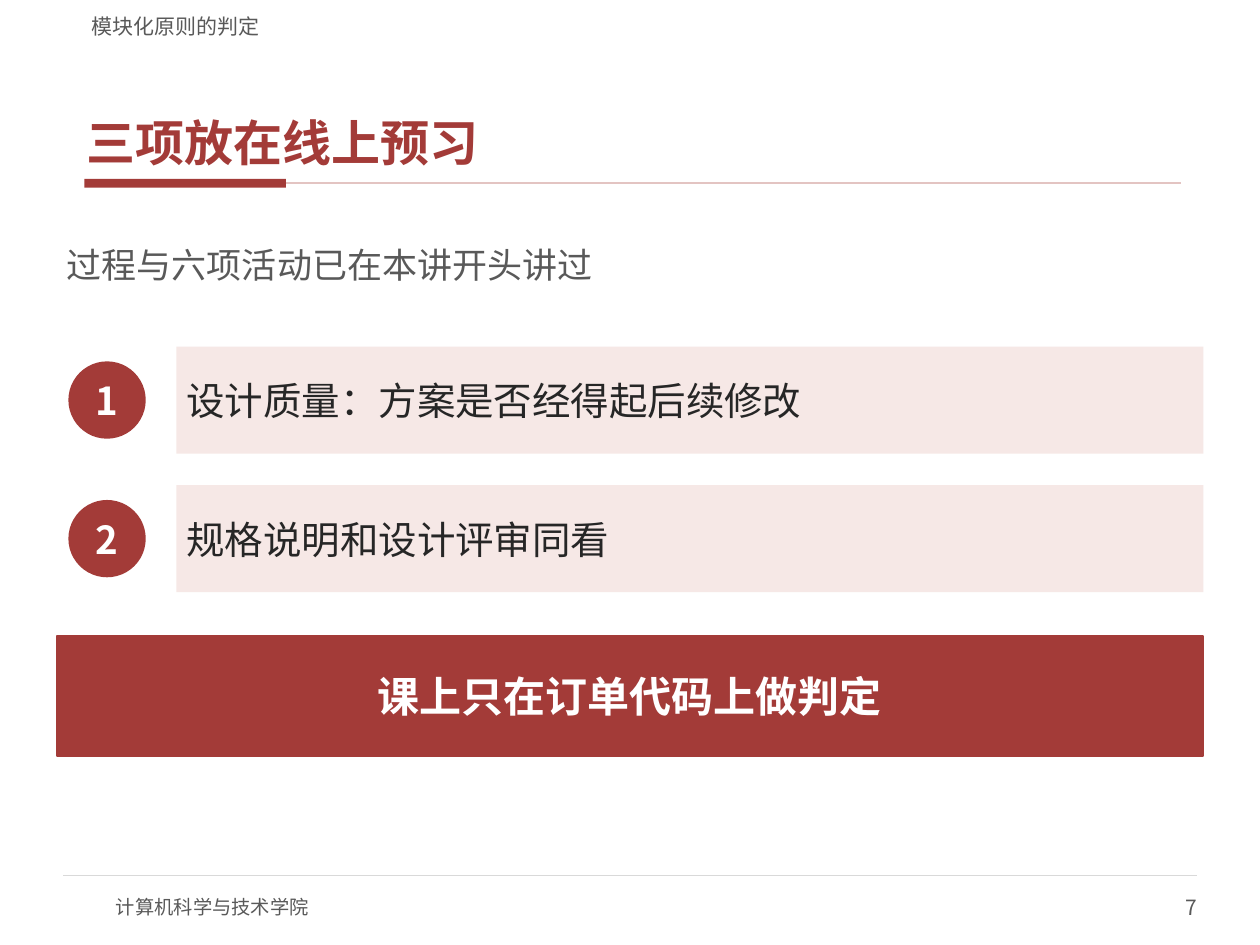
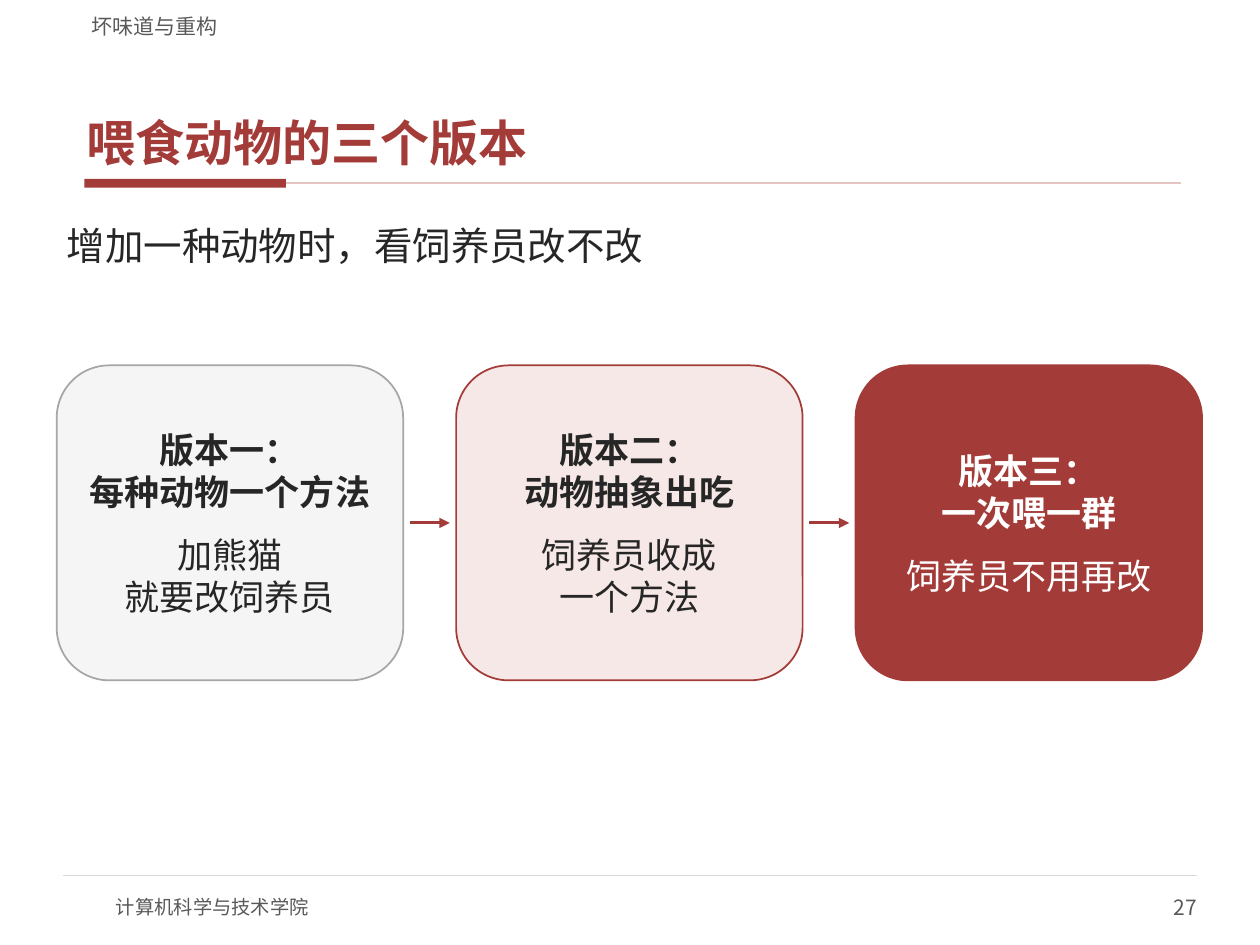
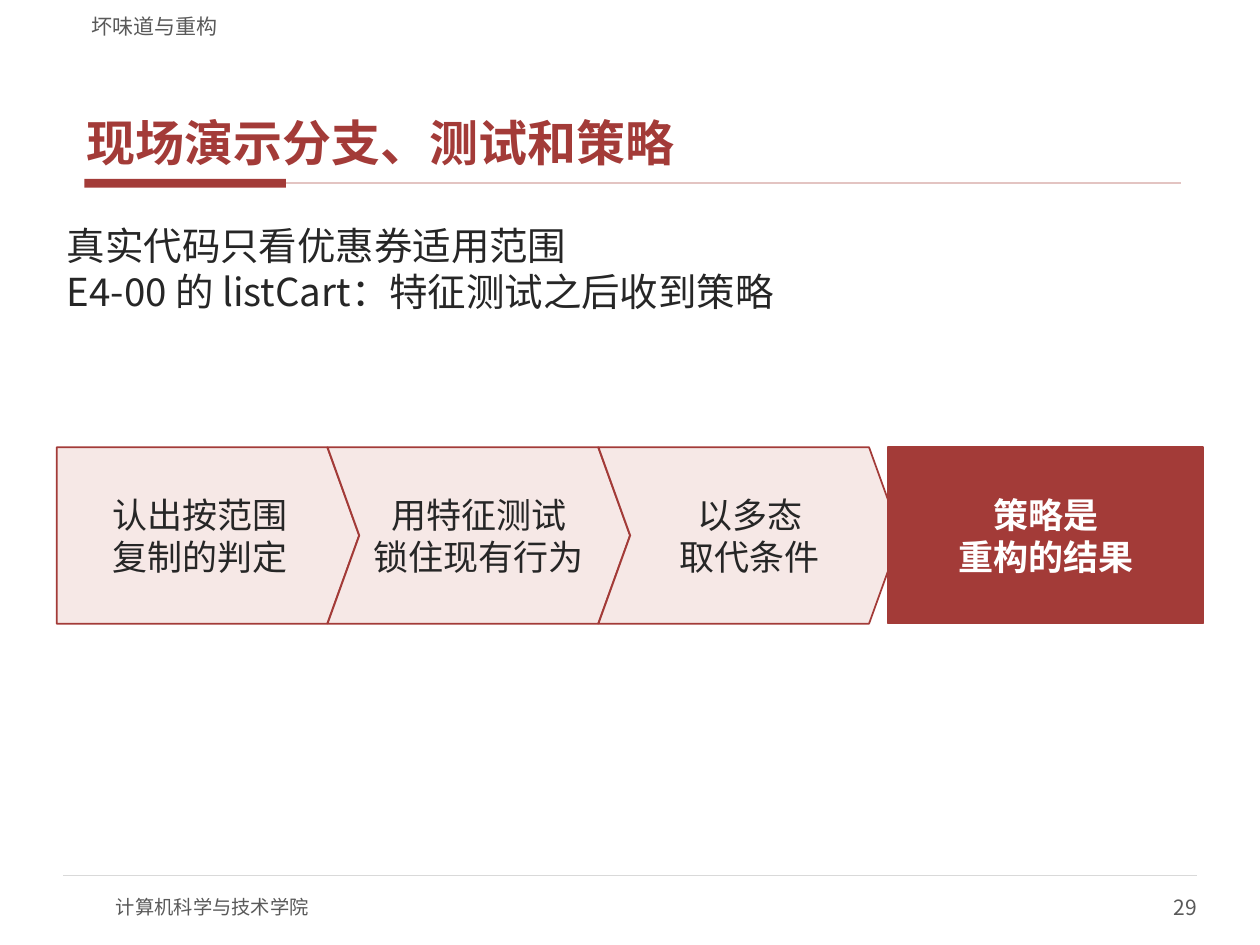
from dataclasses import dataclass, replace
from typing import Any, Optional

import lxml.etree
import pptx
import pptx.dml.color
import pptx.enum.shapes
import pptx.enum.text
import pptx.oxml.ns
import pptx.util

Inches = pptx.util.Inches
Pt = pptx.util.Pt
RGBColor = pptx.dml.color.RGBColor
SHAPE = pptx.enum.shapes.MSO_SHAPE
ALIGN = pptx.enum.text.PP_ALIGN
ANCHOR = pptx.enum.text.MSO_ANCHOR
qn = pptx.oxml.ns.qn

FONT = "Noto Sans CJK SC"
RED = RGBColor(0xA3, 0x3B, 0x38)
PALE_RED = RGBColor(0xF6, 0xE8, 0xE6)
RULE_RED = RGBColor(0xE3, 0xC4, 0xC2)
INK = RGBColor(0x26, 0x26, 0x26)
GRAY = RGBColor(0x59, 0x59, 0x59)
MID_GRAY = RGBColor(0xA6, 0xA6, 0xA6)
RULE_GRAY = RGBColor(0xD9, 0xD9, 0xD9)
PALE_GRAY = RGBColor(0xF5, 0xF5, 0xF5)
WHITE = RGBColor(0xFF, 0xFF, 0xFF)

LEFT = 0.45
CONTENT_WIDTH = 9.1
FOOTER = "计算机科学与技术学院"


@dataclass(frozen=True)
class Box:
    left: float
    top: float
    width: float
    height: float

    def lengths(self) -> tuple:
        return tuple(Inches(n) for n in (self.left, self.top, self.width, self.height))


@dataclass(frozen=True)
class TextStyle:
    size: float
    color: RGBColor
    bold: bool = False
    align: Any = ALIGN.LEFT
    anchor: Any = ANCHOR.MIDDLE
    inset_x: float = 0.08
    inset_y: float = 0.04


@dataclass(frozen=True)
class Paint:
    fill: RGBColor
    line: Optional[RGBColor] = None


@dataclass(frozen=True)
class Card:
    heading: str
    detail: str
    paint: Paint
    color: RGBColor = INK


@dataclass(frozen=True)
class Step:
    text: str
    geometry: Any


SOLID = Paint(RED, RED)
OUTLINED = Paint(PALE_RED, RED)

TITLE = TextStyle(28, RED, True, anchor=ANCHOR.BOTTOM, inset_x=0.06, inset_y=0.02)
SECTION = TextStyle(12, GRAY, anchor=ANCHOR.BOTTOM, inset_x=0.1, inset_y=0)
FOOTER_TEXT = TextStyle(11, GRAY, inset_x=0, inset_y=0)
PAGE_NUMBER = replace(FOOTER_TEXT, size=12, align=ALIGN.RIGHT)
LEAD = TextStyle(22, INK, anchor=ANCHOR.TOP)
NOTE = TextStyle(20, GRAY)
ITEM = TextStyle(22, INK)
BADGE = TextStyle(22, WHITE, True, ALIGN.CENTER, inset_x=0, inset_y=0)
CONCLUSION = TextStyle(24, WHITE, True, ALIGN.CENTER)
CARD_HEADING = TextStyle(20, INK, True, ALIGN.CENTER)
STEP = TextStyle(20, INK, align=ALIGN.CENTER, inset_x=0.04, inset_y=0.02)


def apply_format(target: Any, values: dict) -> None:
    for name, value in values.items():
        setattr(target, name, value)


def format_frame(frame: Any, style: TextStyle) -> None:
    apply_format(frame, {
        "word_wrap": True,
        "auto_size": pptx.enum.text.MSO_AUTO_SIZE.NONE,
        "vertical_anchor": style.anchor,
        "margin_left": Inches(style.inset_x),
        "margin_right": Inches(style.inset_x),
        "margin_top": Inches(style.inset_y),
        "margin_bottom": Inches(style.inset_y),
    })


def write_paragraph(paragraph: Any, text: str, style: TextStyle) -> None:
    """Fill a paragraph; a newline in the text becomes a line break."""
    paragraph.text = text
    paragraph.alignment = style.align
    for run in paragraph.runs:
        apply_format(run.font, {"name": FONT, "size": Pt(style.size), "bold": style.bold})
        run.font.color.rgb = style.color
        east_asian = lxml.etree.Element(qn("a:ea"), typeface=FONT)
        run.font._element.find(qn("a:latin")).addnext(east_asian)


def write_text(shape: Any, style: TextStyle, *texts: str) -> None:
    frame = shape.text_frame
    format_frame(frame, style)
    for index, text in enumerate(texts):
        paragraph = frame.add_paragraph() if index else frame.paragraphs[0]
        write_paragraph(paragraph, text, style)


def add_text(slide: Any, box: Box, style: TextStyle, *texts: str) -> None:
    write_text(slide.shapes.add_textbox(*box.lengths()), style, *texts)


def add_shape(slide: Any, geometry: Any, box: Box, paint: Paint) -> Any:
    shape = slide.shapes.add_shape(geometry, *box.lengths())
    shape.shadow.inherit = False
    shape.fill.solid()
    shape.fill.fore_color.rgb = paint.fill
    if paint.line is None:
        shape.line.fill.background()
    else:
        shape.line.color.rgb = paint.line
        shape.line.width = Pt(1)
    return shape


def add_rule(slide: Any, start: tuple, end: tuple, color: RGBColor, width: float) -> Any:
    connector = slide.shapes.add_connector(
        pptx.enum.shapes.MSO_CONNECTOR.STRAIGHT, *start, *end)
    connector.line.color.rgb = color
    connector.line.width = Pt(width)
    lxml.etree.SubElement(connector._element.spPr, qn("a:effectLst"))
    return connector


def add_arrow(slide: Any, left: float, right: float, y: float) -> None:
    start, end = (Inches(left), Inches(y)), (Inches(right), Inches(y))
    arrow = add_rule(slide, start, end, RED, 1.75)
    line = arrow._element.spPr.find(qn("a:ln"))
    lxml.etree.SubElement(line, qn("a:tailEnd"), type="triangle")


def add_slide(presentation: Any, section: str, title: str, number: int) -> Any:
    """Add a slide with its title, title rule, section name and footer."""
    slide = presentation.slides.add_slide(presentation.slide_layouts[5])

    accent = add_shape(slide, SHAPE.RECTANGLE, Box(0.67, 1.42, 1.6, 0.07), Paint(RED))
    middle = accent.top + accent.height // 2
    title_rule = add_rule(slide, (accent.left + accent.width, middle),
                          (Inches(9.37), middle), RULE_RED, 1)
    title_rule.begin_connect(accent, 3)

    add_rule(slide, (Inches(0.5), Inches(6.95)), (Inches(9.5), Inches(6.95)),
             RULE_GRAY, 0.75)
    add_text(slide, Box(0.92, 7, 4, 0.4), FOOTER_TEXT, FOOTER)
    add_text(slide, Box(7.5, 7, 2, 0.4), PAGE_NUMBER, str(number))

    placeholder = slide.shapes.title
    names = ("left", "top", "width", "height")
    apply_format(placeholder, dict(zip(names, Box(0.63, 0.33, 8.75, 1.05).lengths())))
    write_text(placeholder, TITLE, title)
    placeholder.text_frame.paragraphs[0].space_after = Pt(2)

    add_text(slide, Box(0.63, 0.04, 8.75, 0.27), SECTION, section)
    return slide


def add_numbered_item(slide: Any, number: int, text: str, top: float) -> None:
    height, diameter = 0.85, 0.6
    badge_box = Box(0.55, top + (height - diameter) / 2, diameter, diameter)
    badge = add_shape(slide, SHAPE.OVAL, badge_box, SOLID)
    write_text(badge, BADGE, str(number))
    band = add_shape(slide, SHAPE.RECTANGLE, Box(1.4, top, 8.15, height), Paint(PALE_RED))
    write_text(band, ITEM, text)


def add_card(slide: Any, card: Card, box: Box) -> None:
    shape = add_shape(slide, SHAPE.ROUNDED_RECTANGLE, box, card.paint)
    heading_style = replace(CARD_HEADING, color=card.color)
    write_text(shape, heading_style, card.heading)
    detail = shape.text_frame.add_paragraph()
    write_paragraph(detail, card.detail, replace(heading_style, bold=False))
    detail.space_before = Pt(12)


def build_preview_slide(presentation: Any) -> None:
    slide = add_slide(presentation, "模块化原则的判定", "三项放在线上预习", 7)
    add_text(slide, Box(LEFT, 1.8, CONTENT_WIDTH, 0.6), NOTE,
             "过程与六项活动已在本讲开头讲过")
    items = ("设计质量：方案是否经得起后续修改", "规格说明和设计评审同看")
    for index, text in enumerate(items):
        add_numbered_item(slide, index + 1, text, 2.75 + 1.1 * index)
    banner = add_shape(slide, SHAPE.RECTANGLE, Box(LEFT, 5.05, CONTENT_WIDTH, 0.95), SOLID)
    write_text(banner, CONCLUSION, "课上只在订单代码上做判定")


def build_versions_slide(presentation: Any) -> None:
    slide = add_slide(presentation, "坏味道与重构", "喂食动物的三个版本", 27)
    add_text(slide, Box(LEFT, 1.72, CONTENT_WIDTH, 0.86), LEAD,
             "增加一种动物时，看饲养员改不改")
    cards = (
        Card("版本一：\n每种动物一个方法", "加熊猫\n就要改饲养员", Paint(PALE_GRAY, MID_GRAY)),
        Card("版本二：\n动物抽象出吃", "饲养员收成\n一个方法", OUTLINED),
        Card("版本三：\n一次喂一群", "饲养员不用再改", SOLID, WHITE),
    )
    top, width, height, gap, clearance = 2.9, 2.75, 2.5, 0.42, 0.05
    for index, card in enumerate(cards):
        left = LEFT + index * (width + gap)
        if index:
            add_arrow(slide, left - gap + clearance, left - clearance, top + height / 2)
        add_card(slide, card, Box(left, top, width, height))


def build_demo_slide(presentation: Any) -> None:
    slide = add_slide(presentation, "坏味道与重构", "现场演示分支、测试和策略", 29)
    add_text(slide, Box(LEFT, 1.72, CONTENT_WIDTH, 1.44), LEAD,
             "真实代码只看优惠券适用范围",
             "E4-00 的 listCart：特征测试之后收到策略")
    steps = (
        Step("认出按范围\n复制的判定", SHAPE.PENTAGON),
        Step("用特征测试\n锁住现有行为", SHAPE.CHEVRON),
        Step("以多态\n取代条件", SHAPE.CHEVRON),
    )
    top, height = 3.55, 1.4
    for index, step in enumerate(steps):
        box = Box(LEFT + 2.15 * index, top, 2.4, height)
        shape = add_shape(slide, step.geometry, box, OUTLINED)
        shape.adjustments[0] = 0.18
        write_text(shape, STEP, step.text)
    result = add_shape(slide, SHAPE.RECTANGLE, Box(7.05, top, 2.5, height), SOLID)
    write_text(result, replace(CARD_HEADING, color=WHITE), "策略是\n重构的结果")


def main() -> None:
    presentation = pptx.Presentation()
    presentation.slide_width = Inches(10)
    presentation.slide_height = Inches(7.5)
    build_preview_slide(presentation)
    build_versions_slide(presentation)
    build_demo_slide(presentation)
    presentation.save("out.pptx")


if __name__ == "__main__":
    main()
